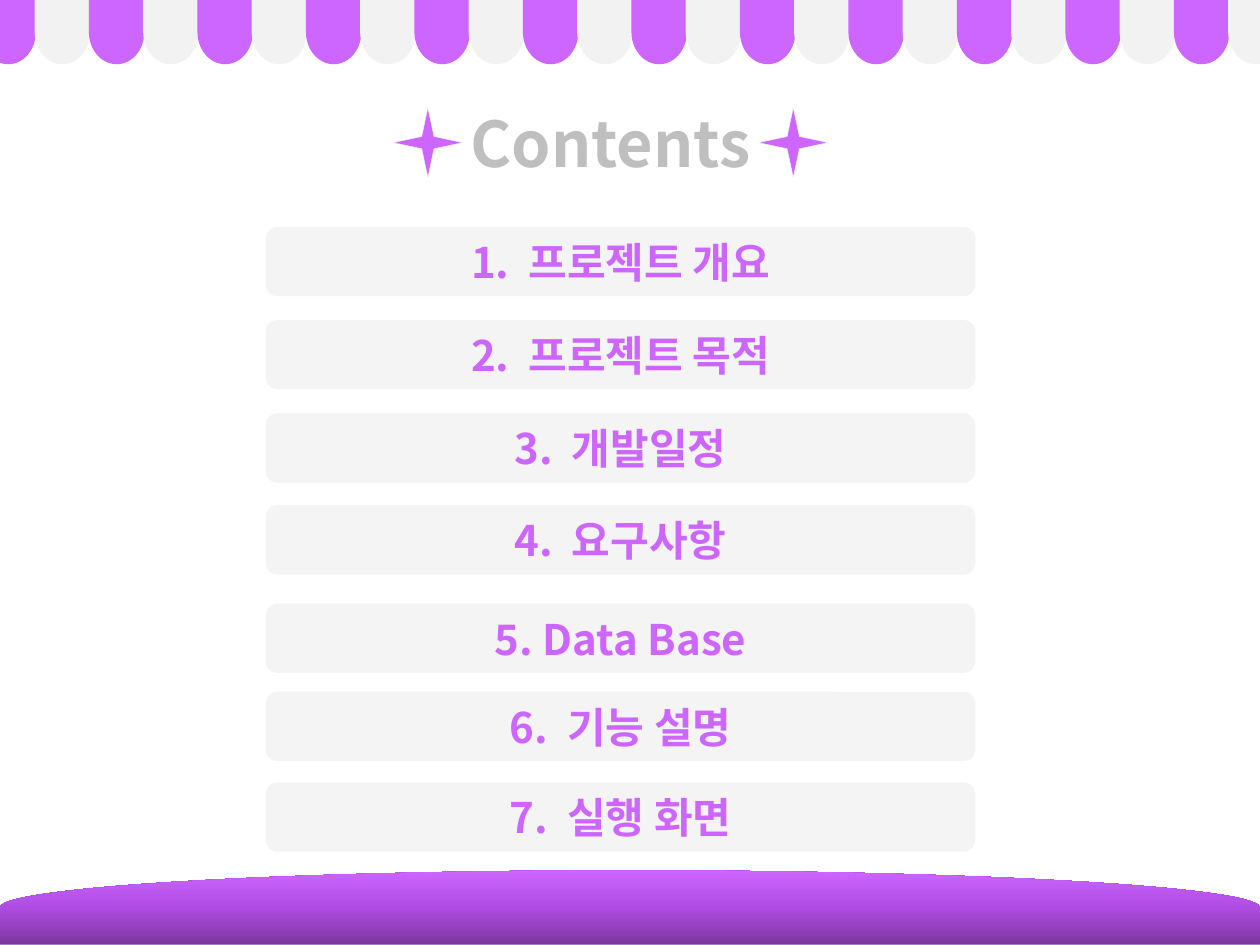
from dataclasses import dataclass

from lxml.etree import SubElement as Sub
from pptx import Presentation
from pptx.dml.color import RGBColor as Rgb
from pptx.enum.shapes import MSO_SHAPE as Kind
from pptx.enum.text import MSO_ANCHOR as Anchor, PP_ALIGN as Align
from pptx.oxml.ns import qn
from pptx.util import Pt


@dataclass(frozen=True)
class Theme:
    font: str = "Noto Sans CJK KR"
    main: str = "CC66FF"
    mid: str = "AF4CE1"
    dark: str = "7B369E"
    pale: str = "F2F2F2"
    gray: str = "BFBFBF"
    head: int = 36
    body: int = 24
    thin: float = 0.25
    edge: float = 0.75


LOOK = Theme()
ITEMS = [
    (0, "1.", "프로젝트 개요", 5.4),
    (53.3, "2.", "프로젝트 목적", 5.4),
    (106.6, "3.", "개발일정", 5.4),
    (159.1, "4.", "요구사항", 5.4),
    (215.3, "5.", "Data Base", 0),
    (265.7, "6.", "기능 설명", 5.4),
    (317.5, "7.", "실행 화면", 5.4),
]


def tint(node, color):
    return Sub(Sub(node, qn("a:solidFill")), qn("a:srgbClr"), val=color)


def write(para, text, size=LOOK.body, color=LOOK.main, edge=LOOK.thin, track=0):
    run = para.add_run()
    run.text = text
    font = run.font
    font.size, font.bold, font.name = Pt(size), True, LOOK.font
    font.color.rgb = Rgb.from_string(color)
    props = run._r.get_or_add_rPr()
    if track:
        props.set("spc", str(round(track * 100)))
    line = Sub(props, qn("a:ln"), w=str(Pt(edge)))
    tint(line, LOOK.pale)
    props.insert(0, line)
    Sub(props, qn("a:ea"), typeface=LOOK.font)
    para.alignment = Align.CENTER


def draw(shapes, kind, box, color, line=None, alpha=None):
    shape = shapes.add_shape(kind, *map(Pt, box))
    shape.shadow.inherit = False
    shape.fill.solid()
    shape.fill.fore_color.rgb = Rgb.from_string(color)
    if alpha:
        tone = shape._element.spPr.find(qn("a:solidFill"))[0]
        Sub(tone, qn("a:alpha"), val=str(alpha * 1000))
    if line:
        shape.line.color.rgb = Rgb.from_string(line)
        shape.line.width = Pt(LOOK.thin)
    else:
        shape.line.fill.background()
    return shape


def dome(shapes, box, color, turn):
    left, top, wide, high = box
    shift = (wide - high) / 2
    spot = (left + shift, top - shift, high, wide)
    shape = draw(shapes, Kind.FLOWCHART_DELAY, spot, color)
    shape.rotation = turn
    return shape


def awning(slide, box, count=24):
    left, top, pitch, high = box
    group = slide.shapes.add_group_shape()
    for i in range(count):
        color = LOOK.pale if i % 2 else LOOK.main
        dome(group.shapes, (left + i * pitch, top, 31.7, high), color, 90)


def floor(slide, box):
    shape = dome(slide.shapes, box, LOOK.main, 270)
    shape.fill.gradient()
    shape.fill.gradient_angle = 0
    stops = shape._element.spPr.find(qn("a:gradFill")).find(qn("a:gsLst"))
    stops.clear()
    for part, color in ((0, LOOK.dark), (50, LOOK.mid), (100, LOOK.main)):
        stop = Sub(stops, qn("a:gs"), pos=str(part * 1000))
        Sub(stop, qn("a:srgbClr"), val=color)


def title(slide, box):
    left, top, wide, high = box
    star = 39.6
    for side in (left, left + wide - star):
        spot = (side, top + (high - star) / 2, star, star)
        draw(slide.shapes, Kind.STAR_4_POINT, spot, LOOK.main, line=LOOK.pale)
    head = slide.shapes.title
    head.left, head.top = Pt(left + 23), Pt(top)
    head.width, head.height = Pt(202.3), Pt(high)
    frame = head.text_frame
    frame.word_wrap = True
    frame.vertical_anchor = Anchor.MIDDLE
    write(frame.paragraphs[0], "Contents", size=LOOK.head, color=LOOK.gray, edge=LOOK.edge)


def menu(slide, box):
    left, top, wide, high = box
    for drop, mark, name, gap in ITEMS:
        spot = (left, top + drop, wide, high)
        bar = draw(slide.shapes, Kind.FLOWCHART_ALTERNATE_PROCESS, spot, LOOK.pale, alpha=80)
        frame = bar.text_frame
        frame.word_wrap = True
        frame.vertical_anchor = Anchor.MIDDLE
        para = frame.paragraphs[0]
        write(para, mark)
        write(para, " ", track=gap)
        write(para, name)


def main():
    deck = Presentation()
    deck.slide_width, deck.slide_height = Pt(720), Pt(540)
    slide = deck.slides.add_slide(deck.slide_layouts[5])
    awning(slide, (-11.2, 0, 31, 36.7))
    floor(slide, (0, 497.3, 720, 42.5))
    title(slide, (224.7, 56, 248.4, 51))
    menu(slide, (151.9, 129.6, 405.4, 39.6))
    deck.save("out.pptx")


if __name__ == "__main__":
    main()
